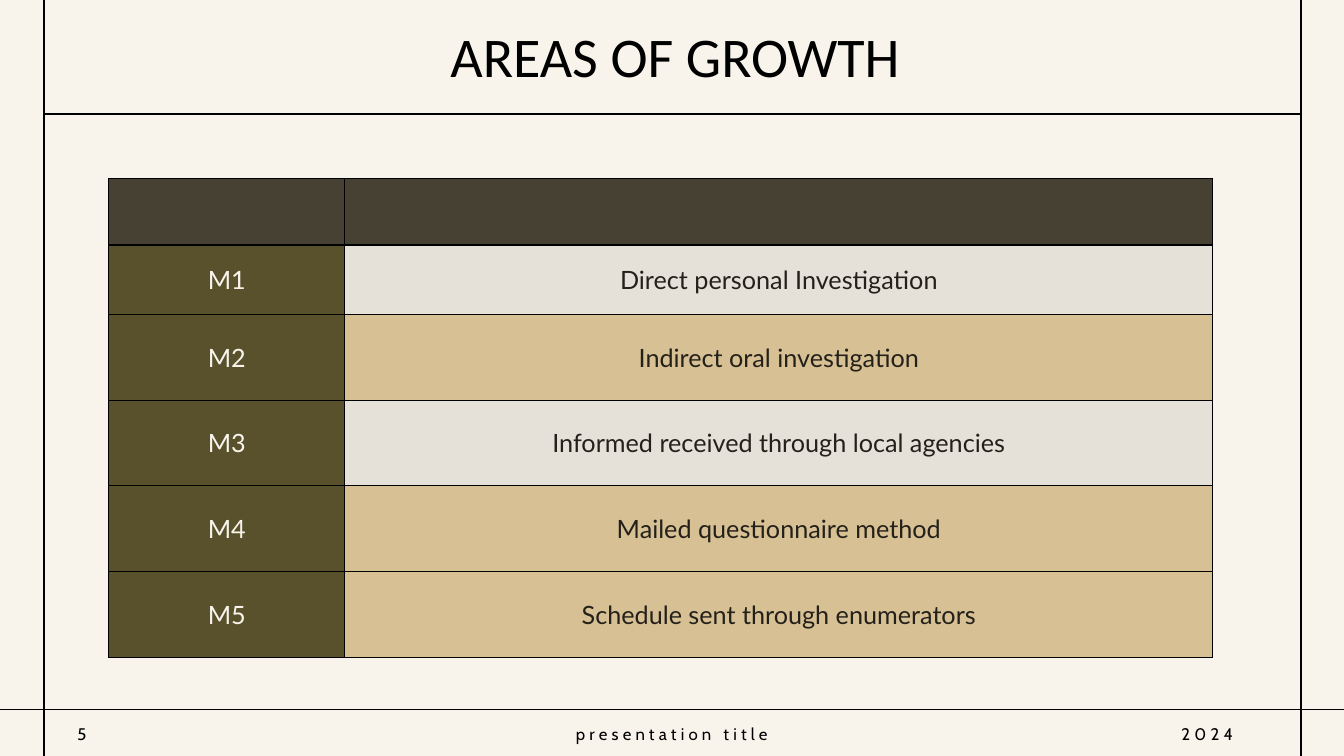
from lxml import etree
from pptx import Presentation
from pptx.dml.color import RGBColor
from pptx.enum.shapes import MSO_CONNECTOR
from pptx.enum.text import MSO_ANCHOR, PP_ALIGN
from pptx.oxml.ns import qn
from pptx.util import Inches, Pt

STRAIGHT = MSO_CONNECTOR.STRAIGHT
MIDDLE = MSO_ANCHOR.MIDDLE
LEFT, CENTER = PP_ALIGN.LEFT, PP_ALIGN.CENTER

W, H = 13.33, 7.5
RAIL_LEFT, RAIL_RIGHT = 0.44, 12.9
TITLE_RULE, FOOTER_RULE = 1.13, 7.04
BLACK, CREAM, INK = "000000", "F8F4EC", "24201A"
HEADER, OLIVE, GREY, SAND = "474134", "59512B", "E5E0D8", "D7C194"

TITLE = "AREAS OF GROWTH"
METHODS = [
    ("M1", "Direct personal Investigation", GREY),
    ("M2", "Indirect oral investigation", SAND),
    ("M3", "Informed received through local agencies", GREY),
    ("M4", "Mailed questionnaire method", SAND),
    ("M5", "Schedule sent through enumerators", SAND),
]
COLS = [2.34, 8.61]
ROWS = [0.66, 0.69] + [0.85] * 4
TABLE_LEFT, TABLE_TOP = 1.08, 1.77
RULES = [
    (RAIL_LEFT, TITLE_RULE, RAIL_RIGHT, TITLE_RULE),
    (0, FOOTER_RULE, W, FOOTER_RULE),
    (RAIL_LEFT, H, RAIL_LEFT, 0),
    (RAIL_RIGHT, H, RAIL_RIGHT, 0),
]
FOOTER = [
    ("5", 0.67, 1.04, LEFT),
    ("presentation title", 5.26, 2.81, CENTER),
    ("2024", 11.62, 1.04, LEFT),
]
TITLE_FONT = {"name": "Calibri", "size": Pt(40)}
CELL_FONT = {"name": "Lato", "size": Pt(18)}
FOOTER_FONT = {"name": "Cabin", "size": Pt(12)}


def rgb(value):
    return RGBColor.from_string(value)


def write(tf, text, align, font, color):
    p = tf.paragraphs[0]
    p.alignment = align
    r = p.add_run()
    r.text = text
    for name, value in font.items():
        setattr(r.font, name, value)
    r.font.color.rgb = rgb(color)
    return p, r


def add_text(s, box, text, align, font):
    tf = s.shapes.add_textbox(*map(Inches, box)).text_frame
    tf.word_wrap = True
    tf.vertical_anchor = MIDDLE
    return write(tf, text, align, font, BLACK)


def add_rule(s, ends):
    line = s.shapes.add_connector(STRAIGHT, *map(Inches, ends))
    line.line.color.rgb = rgb(BLACK)
    line.line.width = Pt(1.25)
    etree.SubElement(line._element.spPr, qn("a:effectLst"))


def style_cell(cell, fill):
    cell.vertical_anchor = MIDDLE
    cell.fill.solid()
    cell.fill.fore_color.rgb = rgb(fill)
    tcPr = cell._tc.get_or_add_tcPr()
    for i, side in enumerate("LRTB"):
        ln = etree.Element(qn(f"a:ln{side}"), w=str(Pt(1)))
        solid = etree.SubElement(ln, qn("a:solidFill"))
        etree.SubElement(solid, qn("a:srgbClr"), val=BLACK)
        tcPr.insert(i, ln)


def add_methods(s):
    box = (TABLE_LEFT, TABLE_TOP, sum(COLS), sum(ROWS))
    frame = s.shapes.add_table(len(ROWS), len(COLS), *map(Inches, box))
    table = frame.table
    for col, width in zip(table.columns, COLS):
        col.width = Inches(width)
    for row, height in zip(table.rows, ROWS):
        row.height = Inches(height)
    for cell in table.rows[0].cells:
        style_cell(cell, HEADER)
    for i, (code, method, fill) in enumerate(METHODS, 1):
        for j, (text, back, color) in enumerate([(code, OLIVE, CREAM), (method, fill, INK)]):
            cell = table.cell(i, j)
            style_cell(cell, back)
            write(cell.text_frame, text, CENTER, CELL_FONT, color)


def main():
    prs = Presentation()
    prs.slide_width, prs.slide_height = Inches(W), Inches(H)
    s = prs.slides.add_slide(prs.slide_layouts[6])
    s.background.fill.solid()
    s.background.fill.fore_color.rgb = rgb(CREAM)
    for ends in RULES:
        add_rule(s, ends)
    p, r = add_text(s, (2.23, 0.06, 8.93, 1.06), TITLE, CENTER, TITLE_FONT)
    p.line_spacing = 0.9
    add_methods(s)
    for text, left, width, align in FOOTER:
        p, r = add_text(s, (left, 7.13, width, 0.3), text, align, FOOTER_FONT)
        r.font._element.set("spc", "300")
    prs.save("out.pptx")


if __name__ == "__main__":
    main()
